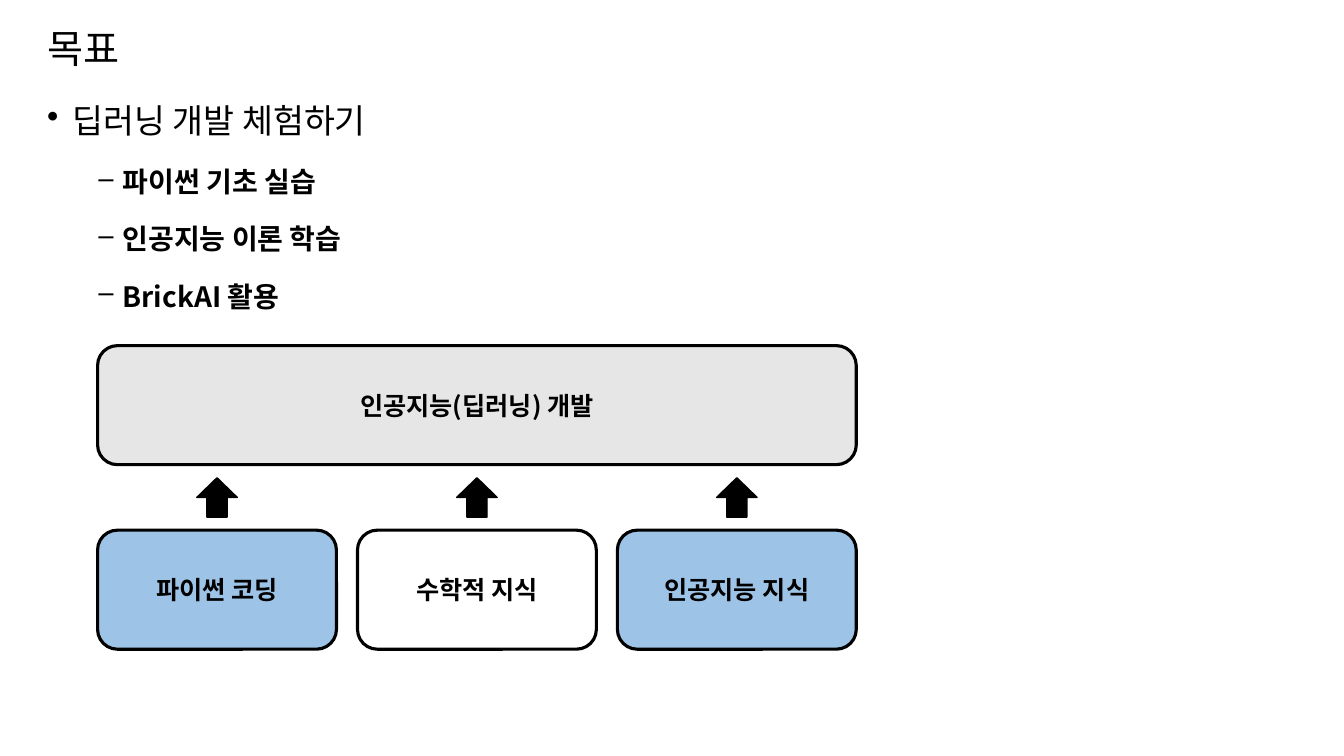
"""Build the goals slide: a short outline above a diagram of building blocks."""
import pptx
import pptx.util
import pptx.dml.color
import pptx.enum.shapes
import pptx.enum.text
import pptx.oxml
import pptx.oxml.ns

Cm, Pt = pptx.util.Cm, pptx.util.Pt
KINDS = pptx.enum.shapes.MSO_SHAPE
ALIGN = pptx.enum.text.PP_ALIGN
MIDDLE = pptx.enum.text.MSO_ANCHOR.MIDDLE
TOP = pptx.enum.text.MSO_ANCHOR.TOP

FONT = "Noto Sans CJK KR"
COLORS = {"ink": "000000", "gray": "E7E6E6", "blue": "9DC3E6", "white": "FFFFFF"}

TITLE = "목표"
GOALS = [
    (0, "딥러닝 개발 체험하기"),
    (1, "파이썬 기초 실습"),
    (1, "인공지능 이론 학습"),
    (1, "BrickAI 활용"),
]
TARGET = "인공지능(딥러닝) 개발"
SKILLS = [("파이썬 코딩", "blue"), ("수학적 지식", "white"), ("인공지능 지식", "blue")]

HEAD = {"size": Pt(28), "bold": False}
LABEL = {"size": Pt(18), "bold": True}
LEVELS = [
    {"mark": "•", "left": 0.64, "font": {"size": Pt(24), "bold": False},
     "para": {"level": 0, "line_spacing": 0.9, "space_before": Pt(0)}},
    {"mark": "‒", "left": 1.9, "font": {"size": Pt(20), "bold": True},
     "para": {"level": 1, "line_spacing": 1.5, "space_before": Pt(5)}},
]
HANG = 0.64

EDGE, WIDE = 0.94, 32.0
LEFT, SPAN, GAP, HIGH = 2.46, 19.12, 0.53, 3.0
ROOF, BASE = 8.71, 13.36
TIP, ARROW_W, ARROW_H = 12.04, 1.02, 0.99


def paint(name):
    return pptx.dml.color.RGBColor.from_string(COLORS[name])


def assign(item, values):
    for key, value in values.items():
        setattr(item, key, value)


def write(para, text, font):
    run = para.add_run()
    run.text = text
    assign(run.font, {"name": FONT, **font})
    run.font.color.rgb = paint("ink")
    east = pptx.oxml.parse_xml(
        f'<a:ea {pptx.oxml.ns.nsdecls("a")} typeface="{FONT}"/>')
    run.font._element.append(east)


def bullet(para, mark, left):
    props = para._p.get_or_add_pPr()
    props.set("marL", str(Cm(left)))
    props.set("indent", str(-Cm(HANG)))
    props.append(pptx.oxml.parse_xml(
        f'<a:buChar {pptx.oxml.ns.nsdecls("a")} char="{mark}"/>'))


def textbox(slide, top, high, anchor):
    box = slide.shapes.add_textbox(Cm(EDGE), Cm(top), Cm(WIDE), Cm(high))
    assign(box.text_frame, {"word_wrap": True, "vertical_anchor": anchor})
    return box.text_frame


def block(slide, kind, place, fill, line):
    shape = slide.shapes.add_shape(kind, *map(Cm, place))
    shape.shadow.inherit = False
    shape.fill.solid()
    shape.fill.fore_color.rgb = paint(fill)
    shape.line.color.rgb = paint("ink")
    shape.line.width = Pt(line)
    return shape


def card(slide, place, text, fill):
    frame = block(slide, KINDS.ROUNDED_RECTANGLE, place, fill, 2.25).text_frame
    assign(frame, {"word_wrap": True, "vertical_anchor": MIDDLE})
    para = frame.paragraphs[0]
    para.alignment = ALIGN.CENTER
    write(para, text, LABEL)


def main():
    deck = pptx.Presentation()
    assign(deck, {"slide_width": Cm(33.87), "slide_height": Cm(19.05)})
    slide = deck.slides.add_slide(deck.slide_layouts[6])

    para = textbox(slide, 0.53, 1.5, MIDDLE).paragraphs[0]
    para.line_spacing = 0.9
    write(para, TITLE, HEAD)

    frame = textbox(slide, 2.51, 15.01, TOP)
    for index, (level, text) in enumerate(GOALS):
        para = frame.add_paragraph() if index else frame.paragraphs[0]
        style = LEVELS[level]
        assign(para, style["para"])
        bullet(para, style["mark"], style["left"])
        write(para, text, style["font"])

    card(slide, (LEFT, ROOF, SPAN, HIGH), TARGET, "gray")
    count = len(SKILLS)
    width = (SPAN - GAP * (count - 1)) / count
    for index, (text, fill) in enumerate(SKILLS):
        left = LEFT + index * (width + GAP)
        card(slide, (left, BASE, width, HIGH), text, fill)
        mid = left + (width - ARROW_W) / 2
        block(slide, KINDS.UP_ARROW, (mid, TIP, ARROW_W, ARROW_H), "ink", 1)

    deck.save("out.pptx")


if __name__ == "__main__":
    main()
